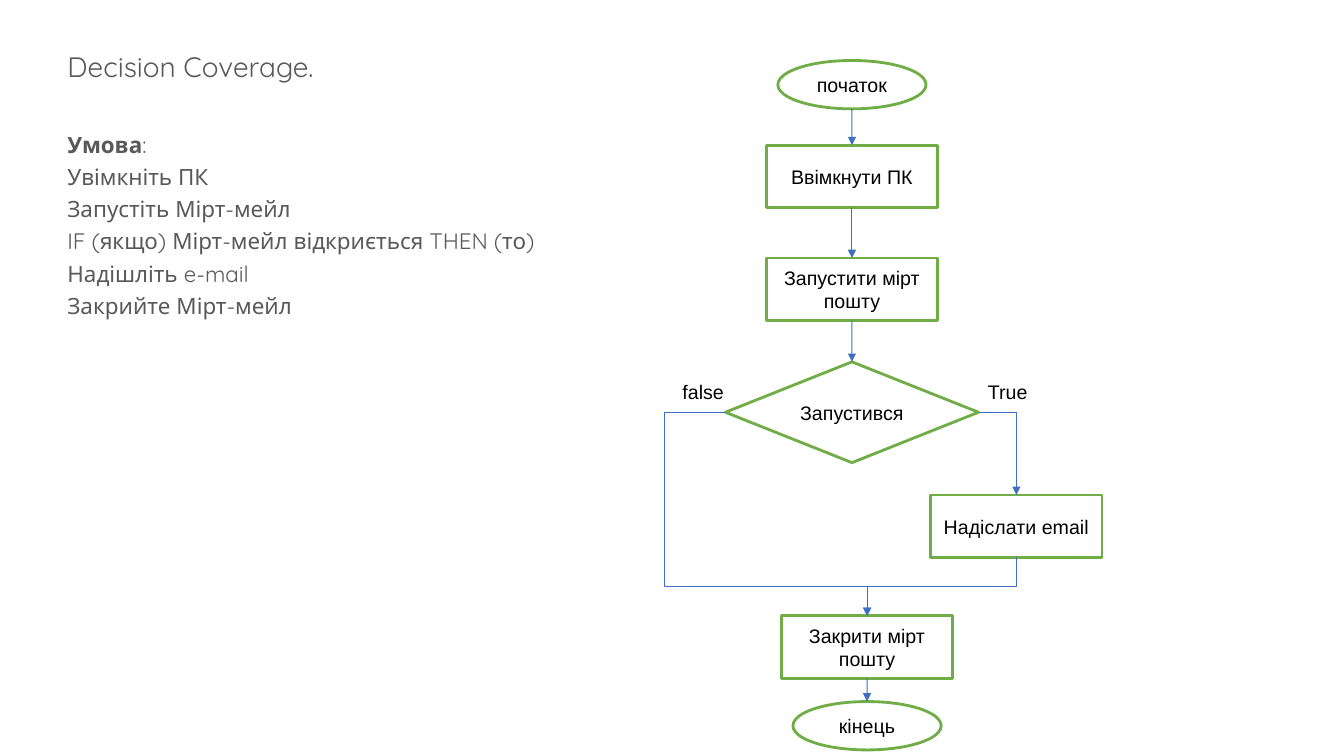
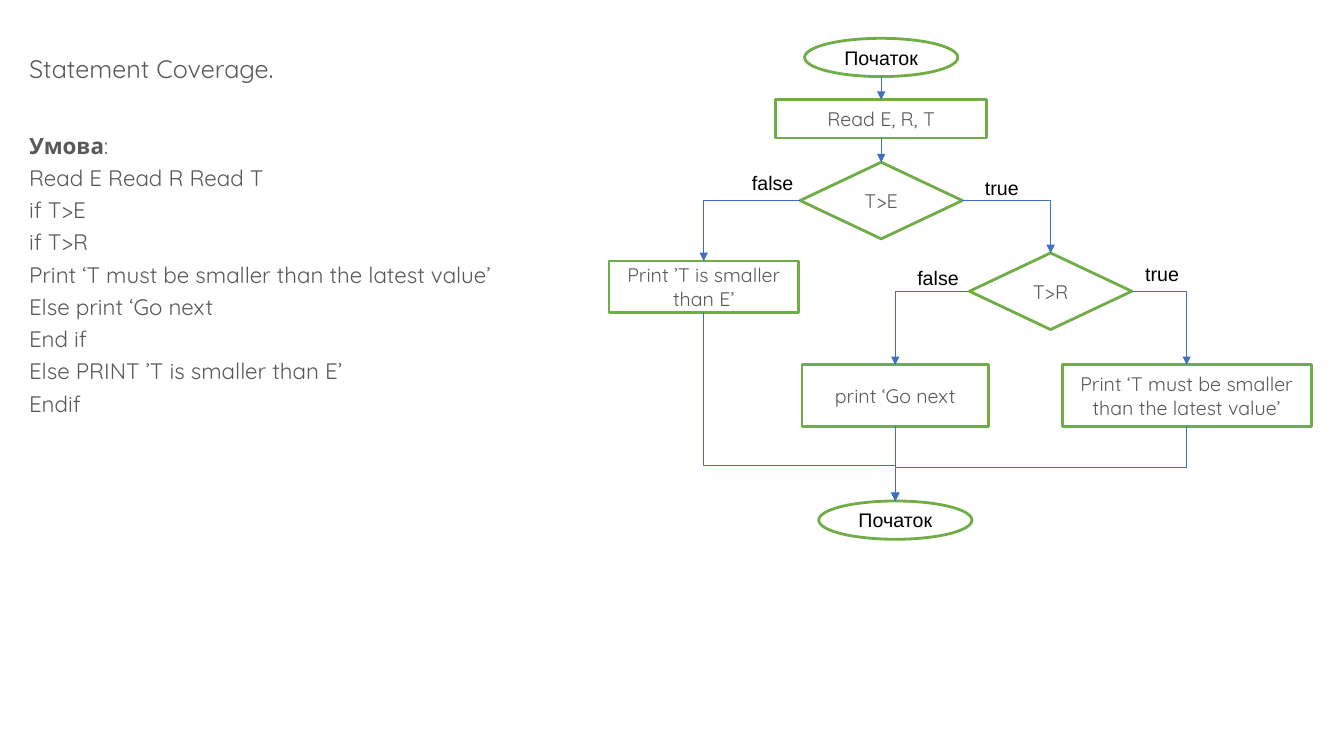
from pptx import Presentation
from pptx.dml.color import RGBColor
from pptx.enum.shapes import MSO_CONNECTOR, MSO_SHAPE
from pptx.enum.text import MSO_ANCHOR, PP_ALIGN
from pptx.oxml.ns import qn
from pptx.util import Inches, Pt
from lxml.etree import SubElement

WHITE = RGBColor(0xFF, 0xFF, 0xFF)
BLACK = RGBColor(0x00, 0x00, 0x00)
GREY = RGBColor(0x59, 0x59, 0x59)
GREEN = RGBColor(0x70, 0xAD, 0x47)
BLUE = RGBColor(0x3F, 0x6F, 0xC3)

OVAL, RECT, DIAMOND = MSO_SHAPE.OVAL, MSO_SHAPE.RECTANGLE, MSO_SHAPE.DIAMOND
PLAIN = ("Arial", BLACK)
CODE = ("Quicksand", GREY)


def side(node, name):
    """Middle of one side of a node: left, right, top or foot."""
    mid_x = node.left + node.width // 2
    mid_y = node.top + node.height // 2
    return {
        "left": (node.left, mid_y),
        "right": (node.left + node.width, mid_y),
        "top": (mid_x, node.top),
        "foot": (mid_x, node.top + node.height),
    }[name]


class Deck:
    def __init__(self):
        self.prs = Presentation()
        self.prs.slide_width = Inches(13.33)
        self.prs.slide_height = Inches(7.5)
        self.slide = None

    def page(self):
        self.slide = self.prs.slides.add_slide(self.prs.slide_layouts[6])

    def style(self, run, size, look=PLAIN, bold=False):
        run.font.size = Pt(size)
        run.font.name, run.font.color.rgb = look
        run.font.bold = bold

    def frame(self, x, y, w, h):
        box = self.slide.shapes.add_textbox(
            Inches(x), Inches(y), Inches(w), Inches(h))
        box.text_frame.word_wrap = True
        return box.text_frame

    def brief(self, x, y, w, h, title, size, lines):
        """Title, then the condition heading and its steps."""
        frame = self.frame(x, y, w, h)
        rows = [[(title, size, False), (".", 20, False)],
                [("Умова", 16, True), (":", 16, False)]]
        rows += [[(line, 16, False)] for line in lines]
        for i, row in enumerate(rows):
            para = frame.add_paragraph() if i else frame.paragraphs[0]
            para.line_spacing = 1.2
            para.space_before = Pt(30 if i == 1 else 0)
            for text, points, bold in row:
                run = para.add_run()
                run.text = text
                self.style(run, points, CODE, bold)

    def label(self, text, x, y):
        frame = self.frame(x, y, 0.8, 0.34)
        frame.text = text
        self.style(frame.paragraphs[0].runs[0], 14)

    def node(self, kind, text, mid, top, w, h, look=PLAIN):
        """Outlined step, centred on mid."""
        node = self.slide.shapes.add_shape(
            kind, Inches(mid - w / 2), Inches(top), Inches(w), Inches(h))
        node.shadow.inherit = False
        node.fill.solid()
        node.fill.fore_color.rgb = WHITE
        node.line.color.rgb = GREEN
        node.line.width = Pt(2)
        frame = node.text_frame
        frame.word_wrap = True
        frame.vertical_anchor = MSO_ANCHOR.MIDDLE
        frame.text = text
        para = frame.paragraphs[0]
        para.alignment = PP_ALIGN.CENTER
        self.style(para.runs[0], 14, look)
        return node

    def wire(self, kind, start, end):
        line = self.slide.shapes.add_connector(
            kind, *(int(v) for v in (*start, *end)))
        line.line.color.rgb = BLUE
        line.line.width = Pt(0.75)
        props = line.element.spPr
        SubElement(props.find(qn("a:ln")), qn("a:tailEnd"), type="triangle")
        SubElement(props, qn("a:effectLst"))
        return props

    def shape(self, props, preset, *turns):
        """Set the elbow preset and the places where it turns."""
        geom = props.find(qn("a:prstGeom"))
        geom.set("prst", preset)
        for old in list(geom):
            geom.remove(old)
        guides = SubElement(geom, qn("a:avLst"))
        for i, turn in enumerate(turns, 1):
            SubElement(guides, qn("a:gd"), name=f"adj{i}",
                       fmla=f"val {round(turn * 100000)}")

    def down(self, *nodes):
        """Straight arrows through a column of nodes."""
        for above, below in zip(nodes, nodes[1:]):
            self.wire(MSO_CONNECTOR.STRAIGHT,
                      side(above, "foot"), side(below, "top"))

    def branch(self, node, name, goal):
        """Sideways out of a node, then down."""
        props = self.wire(MSO_CONNECTOR.ELBOW,
                          side(node, name), side(goal, "top"))
        self.shape(props, "bentConnector2")

    def merge(self, node, goal, level):
        """Down to a level, across, then down again."""
        (x1, y1), (x2, y2) = side(node, "foot"), side(goal, "top")
        mid_x, mid_y = (x1 + x2) / 2, (y1 + y2) / 2
        half_w, half_h = (y2 - y1) / 2, abs(x2 - x1) / 2
        flip = 1 if x2 > x1 else -1
        props = self.wire(MSO_CONNECTOR.ELBOW,
                          (mid_x + flip * half_w, mid_y - half_h),
                          (mid_x - flip * half_w, mid_y + half_h))
        angle = 270 if x2 > x1 else 90
        props.find(qn("a:xfrm")).set("rot", str(angle * 60000))
        self.shape(props, "bentConnector3",
                   (Inches(level) - y1) / (y2 - y1))

    def bypass(self, node, goal, edge, level):
        """Left to an edge, down to a level, across and down."""
        start, end = side(node, "left"), side(goal, "top")
        props = self.wire(MSO_CONNECTOR.ELBOW, start, end)
        self.shape(props, "bentConnector4",
                   (Inches(edge) - start[0]) / (end[0] - start[0]),
                   (Inches(level) - start[1]) / (end[1] - start[1]))


def decision(deck):
    deck.page()
    deck.brief(0.57, 0.38, 5.05, 3.07, "Decision Coverage", 20, [
        "Увімкніть ПК",
        "Запустіть Мірт-мейл",
        "IF (якщо) Мірт-мейл відкриється THEN (то)",
        "Надішліть e-mail",
        "Закрийте Мірт-мейл",
    ])

    # Steps
    mid, last = 8.45, 8.6
    oval, rect = (1.47, 0.48), (1.7, 0.62)
    start = deck.node(OVAL, "початок", mid, 0.6, *oval)
    boot = deck.node(RECT, "Ввімкнути ПК", mid, 1.44, *rect)
    run = deck.node(RECT, "Запустити мірт пошту", mid, 2.56, *rect)
    test = deck.node(DIAMOND, "Запустився", mid, 3.59, 2.51, 1)
    send = deck.node(RECT, "Надіслати email", 10.08, 4.91, *rect)
    close = deck.node(RECT, "Закрити мірт пошту", last, 6.11, *rect)
    end = deck.node(OVAL, "кінець", last, 6.96, *oval)

    # Arrows
    deck.down(start, boot, run, test)
    deck.down(close, end)
    deck.branch(test, "right", send)
    deck.merge(send, close, 5.82)
    deck.bypass(test, close, 6.59, 5.82)

    # Answers
    deck.label("false", 6.67, 3.72)
    deck.label("True", 9.7, 3.72)


def statement(deck):
    deck.page()
    deck.brief(0.19, 0.39, 5.21, 3.94, "Statement Coverage", 18, [
        "Read E Read R Read T",
        "if T>E",
        "if T>R",
        "Print ‘T must be smaller than the latest value’",
        "Else print ‘Go next",
        "End if",
        "Else PRINT ’T is smaller than E’",
        "Endif",
    ])

    # Steps
    mid, last = 8.74, 8.88
    oval, gem = (1.52, 0.38), (1.61, 0.76)
    start = deck.node(OVAL, "Початок", mid, 0.38, *oval)
    read = deck.node(RECT, "Read E, R, T", mid, 0.99, 2.09, 0.38, CODE)
    first = deck.node(DIAMOND, "T>E", mid, 1.61, *gem, CODE)
    second = deck.node(DIAMOND, "T>R", 10.42, 2.51, *gem, CODE)
    small = deck.node(RECT, "Print ’T is smaller than E’",
                      6.98, 2.59, 1.88, 0.51, CODE)
    go = deck.node(RECT, "print ‘Go next", last, 3.62, 1.85, 0.61, CODE)
    must = deck.node(RECT, "Print ‘T must be smaller than the latest value’",
                     11.77, 3.62, 2.47, 0.61, CODE)
    end = deck.node(OVAL, "Початок", last, 4.97, *oval)

    # Arrows
    deck.down(start, read, first)
    deck.down(go, end)
    deck.branch(first, "left", small)
    deck.branch(first, "right", second)
    deck.branch(second, "left", go)
    deck.branch(second, "right", must)
    deck.merge(small, end, 4.62)
    deck.merge(must, end, 4.64)

    # Answers
    for text, x, y in [("false", 7.36, 1.65), ("true", 9.67, 1.7),
                       ("false", 9, 2.59), ("true", 11.26, 2.55)]:
        deck.label(text, x, y)


def main():
    deck = Deck()
    decision(deck)
    statement(deck)
    deck.prs.save("out.pptx")


if __name__ == "__main__":
    main()
